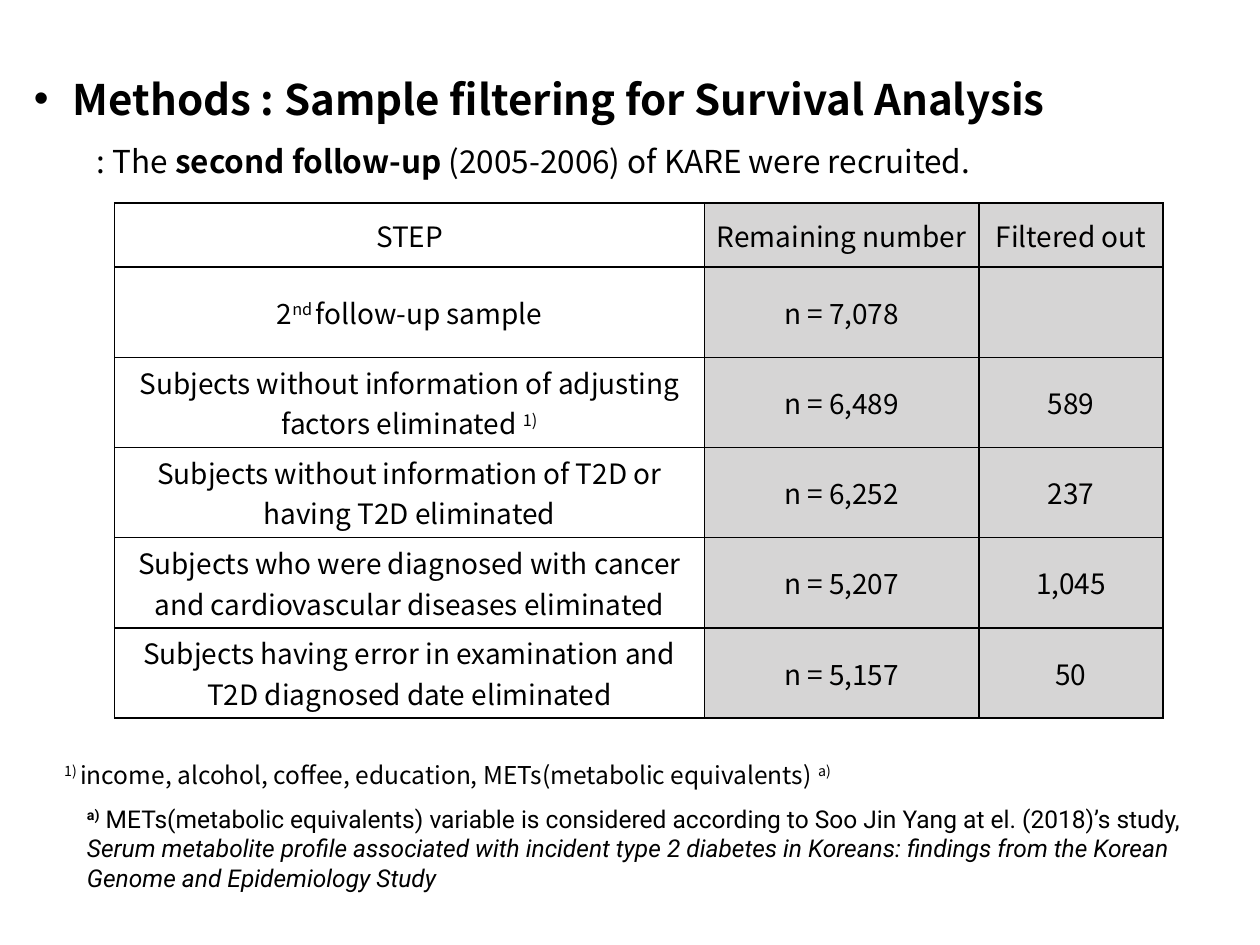
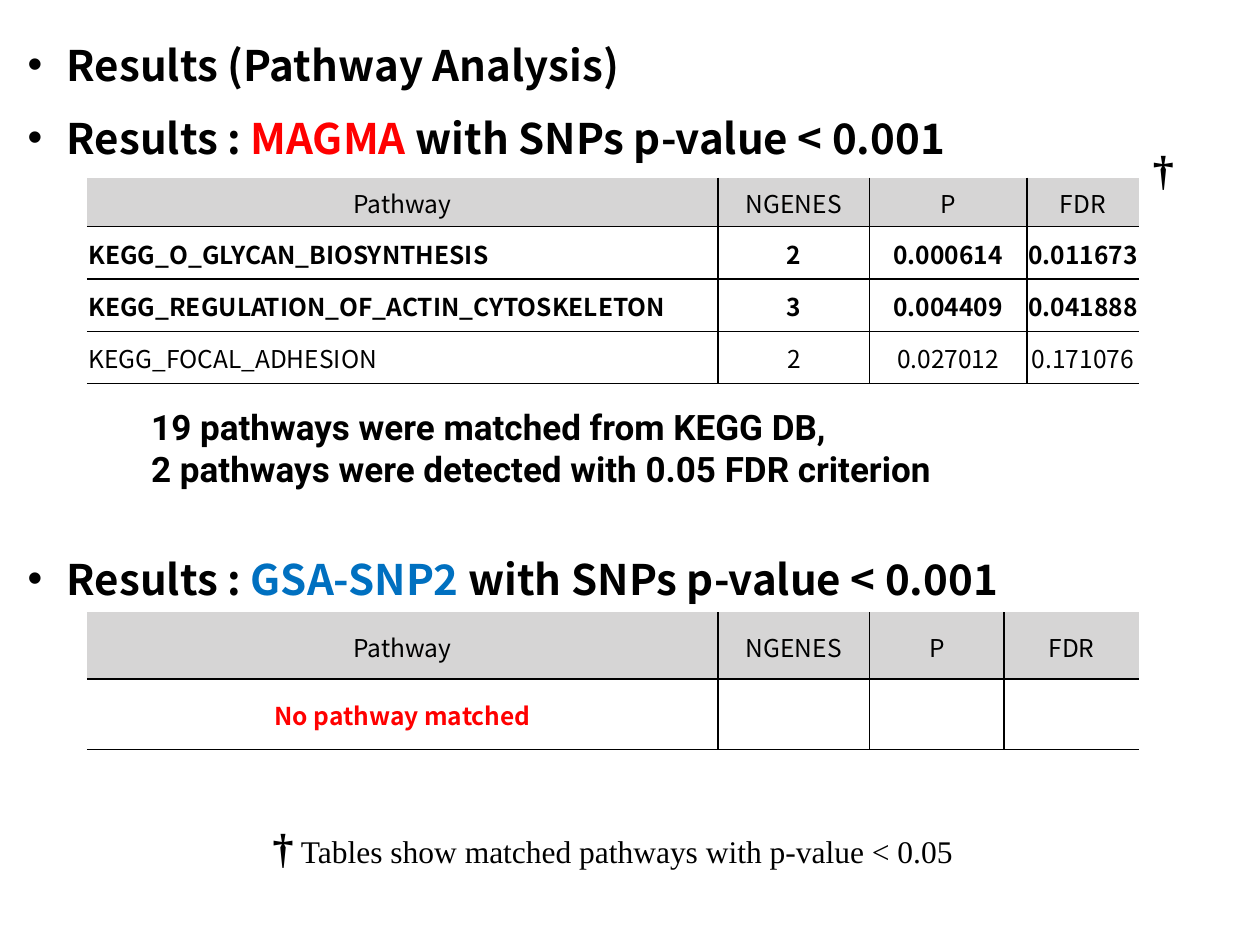
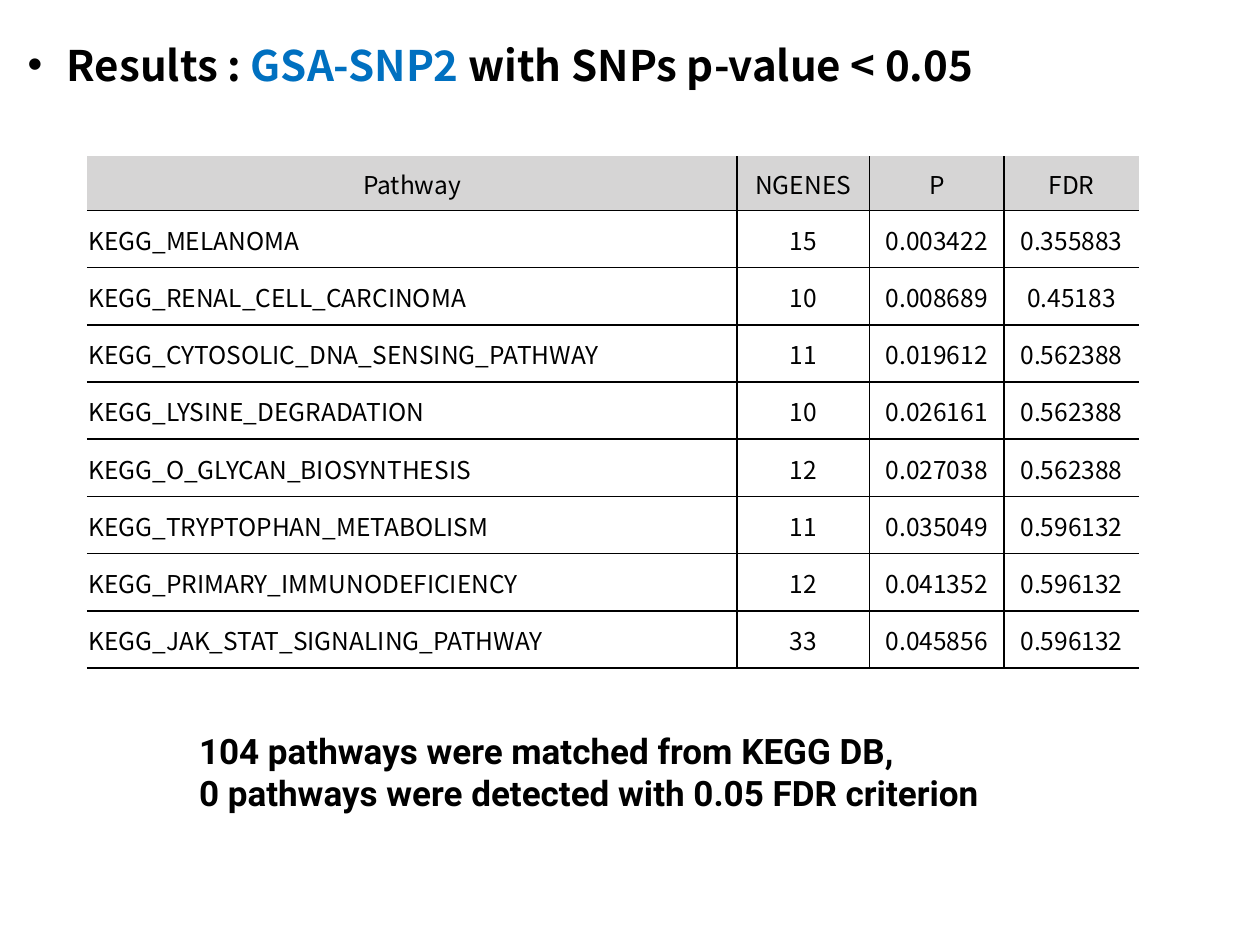
from lxml.etree import SubElement, Element
from pptx import Presentation
from pptx.dml.color import RGBColor
from pptx.enum.text import MSO_ANCHOR as Anchor, MSO_AUTO_SIZE as AutoSize, PP_ALIGN as Align
from pptx.oxml.ns import qn
from pptx.util import Inches, Pt

WIDTH, HEIGHT = 10, 7.5
SANS, ROBOTO, SERIF = "Noto Sans CJK KR", "Roboto", "Times New Roman"
BLACK, WHITE, GREY, RED, BLUE = "000000", "FFFFFF", "D6D5D5", "FF0000", "0070C0"
HANGING, SUBINDENT = 0.31, 0.5
TITLE_LEFT, TITLE_WIDTH, TITLE_HEIGHT = 0.16, 9.62, 0.72
TABLE_LEFT = 0.69

BOLD, SUPER = {"bold": True}, {"raised": True}
RED_TEXT, BLUE_TEXT = {"color": RED}, {"color": BLUE}
DAGGER = ("†", {"font": SERIF, "size": 24, "bold": True})

FILTER_HEADING = [("Methods : Sample filtering for Survival Analysis", {})]
FILTER_SUBHEADING = [
    (": The ", {}), ("second follow-up", BOLD), (" (2005-2006) of KARE were recruited.", {}),
]
FILTER_ROWS = [
    ["STEP", "Remaining number", "Filtered out"],
    [[("2", {}), ("nd ", SUPER), ("follow-up sample", {})], "n = 7,078", ""],
    [[("Subjects without information of adjusting factors eliminated ", {}), ("1)", SUPER)],
     "n = 6,489", "589"],
    ["Subjects without information of T2D or having T2D eliminated", "n = 6,252", "237"],
    ["Subjects who were diagnosed with cancer and cardiovascular diseases eliminated",
     "n = 5,207", "1,045"],
    ["Subjects having error in examination and T2D diagnosed date eliminated",
     "n = 5,157", "50"],
]
FACTOR_NOTE = [
    ("1) ", SUPER),
    ("income, alcohol, coffee, education, METs(metabolic equivalents) ", {}),
    ("a)", SUPER),
]
METS_NOTE = [
    ("a)", BOLD | SUPER),
    (" METs(metabolic equivalents) variable is considered according to "
     "Soo Jin Yang at el. (2018)’s study, ", {}),
    ("Serum metabolite profile associated with incident type 2 diabetes in Koreans: "
     "findings from the Korean Genome and Epidemiology Study", {"italic": True}),
]

PATHWAY_HEADER = ["Pathway", "NGENES", "P", "FDR"]
MAGMA_ROWS = [
    PATHWAY_HEADER,
    ["KEGG_O_GLYCAN_BIOSYNTHESIS", "2", "0.000614", "0.011673"],
    ["KEGG_REGULATION_OF_ACTIN_CYTOSKELETON", "3", "0.004409", "0.041888"],
    ["KEGG_FOCAL_ADHESION", "2", "0.027012", "0.171076"],
]
DETECTED_ROWS = (1, 2)
UNMATCHED_ROWS = [PATHWAY_HEADER, [[("No pathway matched", BOLD | RED_TEXT)], "", "", ""]]
GSA_ROWS = [
    PATHWAY_HEADER,
    ["KEGG_MELANOMA", "15", "0.003422", "0.355883"],
    ["KEGG_RENAL_CELL_CARCINOMA", "10", "0.008689", "0.45183"],
    ["KEGG_CYTOSOLIC_DNA_SENSING_PATHWAY", "11", "0.019612", "0.562388"],
    ["KEGG_LYSINE_DEGRADATION", "10", "0.026161", "0.562388"],
    ["KEGG_O_GLYCAN_BIOSYNTHESIS", "12", "0.027038", "0.562388"],
    ["KEGG_TRYPTOPHAN_METABOLISM", "11", "0.035049", "0.596132"],
    ["KEGG_PRIMARY_IMMUNODEFICIENCY", "12", "0.041352", "0.596132"],
    ["KEGG_JAK_STAT_SIGNALING_PATHWAY", "33", "0.045856", "0.596132"],
]
MAGMA_TITLE = [("Results : ", {}), ("MAGMA", RED_TEXT), (" with SNPs p-value < 0.001", {})]
DAGGER_NOTE = [DAGGER, (" Tables show matched pathways with p-value < 0.05",
                        {"font": SERIF, "size": 18})]


def gsa_title(limit):
    return [("Results : ", {}), ("GSA-SNP2 ", BLUE_TEXT), (f"with SNPs p-value < {limit}", {})]


def match_summary(matched, detected):
    return [
        [(f"{matched} pathways were matched from KEGG DB,", {})],
        [(f"{detected} pathways were detected with 0.05 FDR criterion", {})],
    ]


def rgb(code):
    return RGBColor.from_string(code)


def write(paragraph, spans, **base):
    for words, changes in spans:
        style = {"font": SANS, "color": BLACK, "bold": False, "italic": False} | base | changes
        span = paragraph.add_run()
        span.text = words
        span.font.name = style["font"]
        span.font.size = Pt(style["size"])
        span.font.bold = style["bold"]
        span.font.italic = style["italic"]
        span.font.color.rgb = rgb(style["color"])
        if style.get("raised"):
            span._r.get_or_add_rPr().set("baseline", "30000")


def add_text(page, place, paragraphs, align=Align.LEFT, **base):
    box = page.shapes.add_textbox(*map(Inches, place))
    frame = box.text_frame
    frame.word_wrap = True
    frame.auto_size = AutoSize.SHAPE_TO_FIT_TEXT
    frame.vertical_anchor = Anchor.MIDDLE
    frame.margin_left = frame.margin_right = Inches(0.06)
    frame.margin_top = frame.margin_bottom = Inches(0.06)
    for index, spans in enumerate(paragraphs):
        paragraph = frame.add_paragraph() if index else frame.paragraphs[0]
        paragraph.alignment = align
        write(paragraph, spans, **base)
    return frame


def indent(paragraph, left, first):
    paragraph.line_spacing = 1.5
    properties = paragraph._p.get_or_add_pPr()
    properties.set("marL", str(Inches(left)))
    properties.set("indent", str(Inches(first)))
    return properties


def add_heading(page, place, spans):
    frame = add_text(page, place, [spans], Align.JUSTIFY, size=24, bold=True)
    properties = indent(frame.paragraphs[0], HANGING, -HANGING)
    SubElement(properties, qn("a:buFont"), typeface="Arial")
    SubElement(properties, qn("a:buChar"), char="•")
    return frame


def add_title(page, top, spans):
    add_heading(page, (TITLE_LEFT, top, TITLE_WIDTH, TITLE_HEIGHT), spans)


def draw_borders(cell, hidden):
    properties = cell._tc.get_or_add_tcPr()
    for index, side in enumerate("LRTB"):
        line = Element(qn(f"a:ln{side}"), w=str(Pt(1)))
        if side in hidden:
            SubElement(line, qn("a:noFill"))
        else:
            SubElement(SubElement(line, qn("a:solidFill")), qn("a:srgbClr"), val=BLACK)
        properties.insert(index, line)


def add_grid(page, left, top, rows, widths, heights, size, margins, grey, left_names=False,
             open_sides="", bold_rows=()):
    header_height, row_height = heights
    total_height = header_height + row_height * (len(rows) - 1)
    table = page.shapes.add_table(len(rows), len(widths), Inches(left), Inches(top),
                                  Inches(sum(widths)), Inches(total_height)).table
    table.first_row = table.horz_banding = False
    for column, width in zip(table.columns, widths):
        column.width = Inches(width)
    last = len(widths) - 1
    for r, row in enumerate(rows):
        table.rows[r].height = Inches(row_height if r else header_height)
        for c, content in enumerate(row):
            cell = table.cell(r, c)
            cell.vertical_anchor = Anchor.MIDDLE
            (cell.margin_left, cell.margin_right,
             cell.margin_top, cell.margin_bottom) = map(Inches, margins)
            cell.fill.solid()
            cell.fill.fore_color.rgb = rgb(GREY if grey(r, c) else WHITE)
            outer = {"L": c == 0, "R": c == last, "T": r == 0}
            draw_borders(cell, [side for side in open_sides if outer[side]])
            plain = isinstance(content, str)
            paragraph = cell.text_frame.paragraphs[0]
            named = left_names and plain and r > 0 and c == 0
            paragraph.alignment = Align.LEFT if named else Align.CENTER
            if content:
                write(paragraph, [(content, {})] if plain else content,
                      size=size, bold=r in bold_rows)


def add_pathways(page, top, rows, widths, heights, bold_rows=()):
    add_grid(page, TABLE_LEFT, top, rows, widths, heights, 14, (0.01, 0.01, 0.01, 0),
             lambda r, c: r == 0, left_names=True, open_sides="LRT", bold_rows=bold_rows)


def build_filtering(page):
    frame = add_heading(page, (0.21, 0.32, 9.27, 1.17), FILTER_HEADING)
    subheading = frame.add_paragraph()
    subheading.alignment = Align.JUSTIFY
    subheading.level = 1
    indent(subheading, SUBINDENT, 0)
    write(subheading, FILTER_SUBHEADING, size=18)
    add_grid(page, 0.91, 1.61, FILTER_ROWS, (4.68, 2.18, 1.46), (0.51, 0.716), 16,
             (0.05, 0.05, 0.03, 0.03), lambda r, c: c > 0)
    add_text(page, (0.45, 5.97, 6.41, 0.35), [FACTOR_NOTE], size=14)
    add_text(page, (0.63, 6.32, 9.25, 0.82), [METS_NOTE], size=14, font=ROBOTO)


def build_pathways(page):
    add_title(page, 0.05, [("Results (Pathway Analysis)", {})])
    add_title(page, 0.63, MAGMA_TITLE)
    add_pathways(page, 1.41, MAGMA_ROWS, (5.01, 1.2, 1.25, 0.89), (0.39, 0.415), DETECTED_ROWS)
    add_text(page, (1.14, 3.16, 8.55, 0.79), match_summary(19, 2),
             size=20, font=ROBOTO, bold=True)
    add_title(page, 4.13, gsa_title("0.001"))
    add_pathways(page, 4.86, UNMATCHED_ROWS, (5.01, 1.2, 1.07, 1.07), (0.53, 0.56))
    add_text(page, (TABLE_LEFT, 6.46, 8.35, 0.52), [DAGGER_NOTE], Align.CENTER)
    add_text(page, (9.09, 1.08, 0.26, 0.52), [[DAGGER]], Align.CENTER)


def build_gsa(page):
    add_title(page, 0.05, gsa_title("0.05"))
    add_pathways(page, 1.24, GSA_ROWS, (5.16, 1.05, 1.07, 1.07), (0.43, 0.454))
    add_text(page, (1.52, 5.73, 7.34, 0.79), match_summary(104, 0),
             size=20, font=ROBOTO, bold=True)


def main():
    deck = Presentation()
    deck.slide_width, deck.slide_height = Inches(WIDTH), Inches(HEIGHT)
    for build in (build_filtering, build_pathways, build_gsa):
        build(deck.slides.add_slide(deck.slide_layouts[6]))
    deck.save("out.pptx")


if __name__ == "__main__":
    main()
